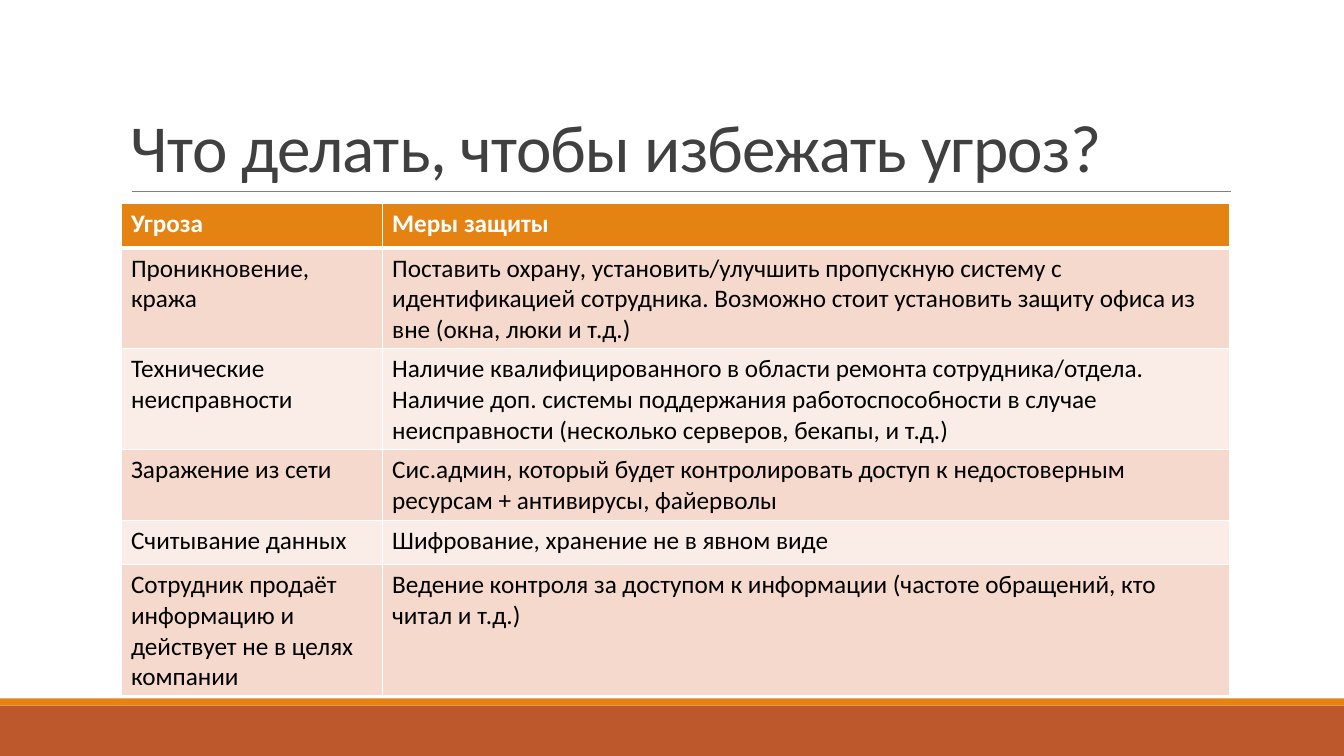
from dataclasses import dataclass

from lxml.etree import SubElement
from pptx import Presentation
from pptx.dml.color import RGBColor
from pptx.enum.shapes import MSO_CONNECTOR, MSO_SHAPE
from pptx.enum.text import MSO_ANCHOR
from pptx.oxml.ns import qn
from pptx.util import Inches, Pt

COLORS = {
    "rust": "BD582C", "orange": "E48312", "rule": "808080", "title": "404040",
    "white": "FFFFFF", "black": "000000", "dark": "F5D9CC", "light": "FAEDE7",
}
HEAD = {"name": "Calibri", "size": Pt(18), "bold": True}
BODY = {**HEAD, "bold": False}
TITLE = {"name": "Calibri", "size": Pt(48)}


@dataclass
class Band:
    top: float
    height: float
    color: str


@dataclass
class Row:
    threat: str
    guard: str
    height: float


BANDS = [Band(7, 0.5, "rust"), Band(6.93, 0.07, "orange")]
ROWS = [
    Row("Угроза", "Меры защиты", 0.44),
    Row("Проникновение, кража",
        "Поставить охрану, установить/улучшить пропускную систему с "
        "идентификацией сотрудника. Возможно стоит установить защиту офиса "
        "из вне (окна, люки и т.д.)", 0.97),
    Row("Технические неисправности",
        "Наличие квалифицированного в области ремонта сотрудника/отдела. "
        "Наличие доп. системы поддержания работоспособности в случае "
        "неисправности (несколько серверов, бекапы, и т.д.)", 0.97),
    Row("Заражение из сети",
        "Сис.админ, который будет контролировать доступ к недостоверным "
        "ресурсам + антивирусы, файерволы", 0.68),
    Row("Считывание данных", "Шифрование, хранение не в явном виде", 0.44),
    Row("Сотрудник продаёт информацию и действует не в целях компании",
        "Ведение контроля за доступом к информации (частоте обращений, кто "
        "читал и т.д.)", 1.26),
]
WIDTHS = [2.59, 8.41]
LEFT = 1.2


def color(name: str) -> RGBColor:
    return RGBColor.from_string(COLORS[name])


def style(font, form: dict, tint: str) -> None:
    for key, value in form.items():
        setattr(font, key, value)
    font.color.rgb = color(tint)


def paint(part, tint: str) -> None:
    part.fill.solid()
    part.fill.fore_color.rgb = color(tint)


def draw_band(slide, band: Band) -> None:
    shape = slide.shapes.add_shape(
        MSO_SHAPE.RECTANGLE, 0, Inches(band.top), Inches(13.33), Inches(band.height))
    shape.shadow.inherit = False
    paint(shape, band.color)
    shape.line.fill.background()


def draw_rule(slide) -> None:
    line = slide.shapes.add_connector(
        MSO_CONNECTOR.STRAIGHT, Inches(1.31), Inches(1.9), Inches(12.21), Inches(1.9))
    line.line.color.rgb = color("rule")
    line.line.width = Pt(0.5)
    SubElement(line._element.spPr, qn("a:effectLst"))


def draw_title(slide, text: str) -> None:
    box = slide.shapes.add_textbox(Inches(LEFT), Inches(0.31), Inches(11), Inches(1.59))
    frame = box.text_frame
    frame.word_wrap = True
    frame.vertical_anchor = MSO_ANCHOR.BOTTOM
    para = frame.paragraphs[0]
    para.line_spacing = 0.85
    run = para.add_run()
    run.text = text
    style(run.font, TITLE, "title")
    run.font._element.set("spc", "-50")


def edge(cell, side: str, width: float) -> None:
    line = SubElement(cell._tc.get_or_add_tcPr(), qn(f"a:ln{side}"), w=str(Pt(width)))
    fill = SubElement(line, qn("a:solidFill"))
    SubElement(fill, qn("a:srgbClr"), val=COLORS["white"])


def draw_cell(cell, text: str, row: int) -> None:
    # Borders come before the fill; the header has a thick lower edge
    for side in "LRTB":
        thick = (row == 0 and side == "B") or (row == 1 and side == "T")
        edge(cell, side, 3 if thick else 1)
    paint(cell, "orange" if row == 0 else "dark" if row % 2 else "light")
    run = cell.text_frame.paragraphs[0].add_run()
    run.text = text
    style(run.font, BODY if row else HEAD, "black" if row else "white")


def draw_table(slide, rows: list[Row]) -> None:
    table = slide.shapes.add_table(
        len(rows), len(WIDTHS), Inches(LEFT), Inches(2.02), Inches(sum(WIDTHS)),
        Inches(sum(row.height for row in rows))).table
    for col, width in zip(table.columns, WIDTHS):
        col.width = Inches(width)
    for num, row in enumerate(rows):
        table.rows[num].height = Inches(row.height)
        for col, text in enumerate((row.threat, row.guard)):
            draw_cell(table.cell(num, col), text, num)


# Slide
deck = Presentation()
deck.slide_width, deck.slide_height = Inches(13.33), Inches(7.5)
slide = deck.slides.add_slide(deck.slide_layouts[6])

# Footer bands and title rule
for band in BANDS:
    draw_band(slide, band)
draw_rule(slide)

# Title and table
draw_title(slide, "Что делать, чтобы избежать угроз?")
draw_table(slide, ROWS)

deck.save("out.pptx")
